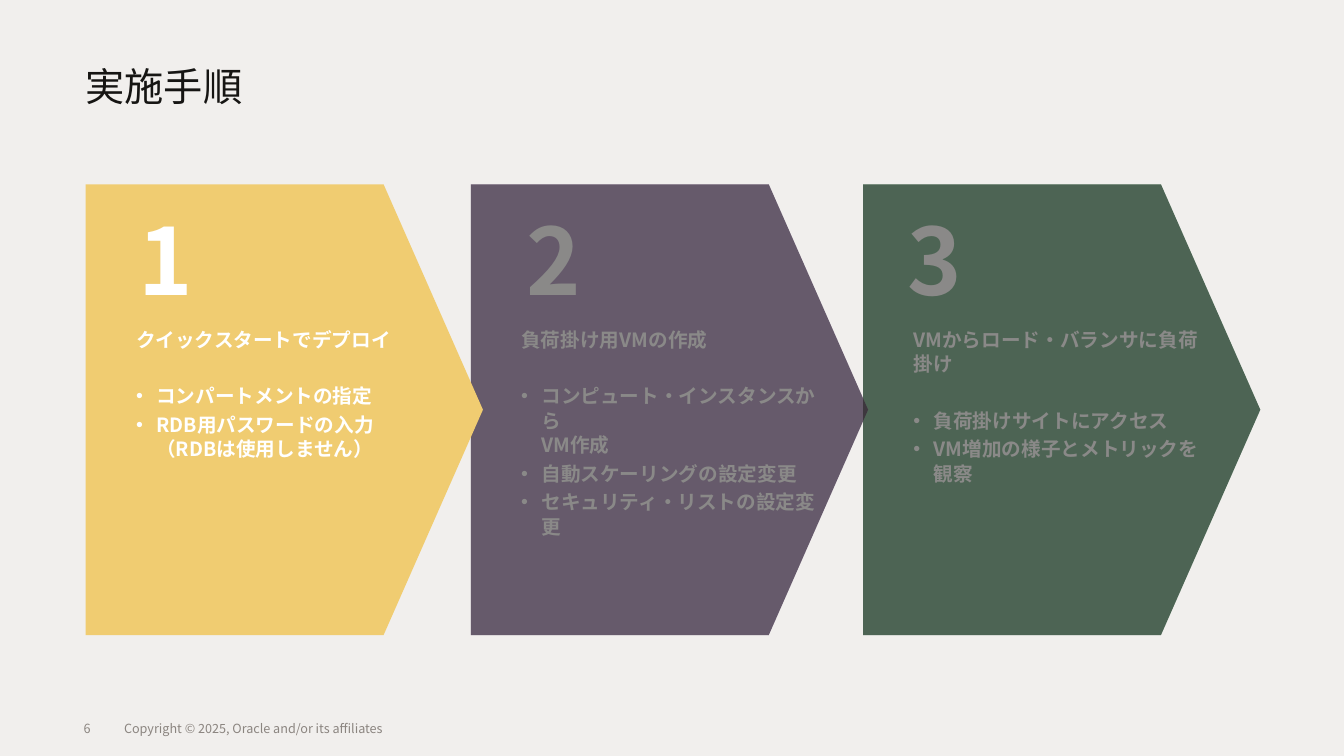
from lxml.etree import SubElement
from pptx import Presentation
from pptx.dml.color import RGBColor
from pptx.enum.shapes import MSO_SHAPE
from pptx.enum.text import MSO_ANCHOR
from pptx.oxml.ns import qn
from pptx.util import Inches, Pt

FONT = "Noto Sans CJK JP"
BACKGROUND = RGBColor(0xF1, 0xEF, 0xED)
INK = RGBColor(0x16, 0x15, 0x13)
GRAY = RGBColor(0x8B, 0x85, 0x80)
WHITE = RGBColor(0xFF, 0xFF, 0xFF)
YELLOW = RGBColor(0xF0, 0xCC, 0x71)
PURPLE = RGBColor(0xB7, 0xA1, 0xC4)
GREEN = RGBColor(0x86, 0xB5, 0x96)

ARROW_TOP, ARROW_WIDTH, ARROW_HEIGHT = 1.83, 3.94, 4.47
LINE_HEIGHT, LINE_GAP = Pt(17.5), Pt(2.8)
HEADING_GAP = LINE_HEIGHT + 2 * LINE_GAP

STEPS = [
    (0.85, 0.43, YELLOW, "1", "クイックスタートでデプロイ",
     ["コンパートメントの指定", "RDB用パスワードの入力\v（RDBは使用しません）"]),
    (4.67, 0.45, PURPLE, "2", "負荷掛け用VMの作成",
     ["コンピュート・インスタンスから\vVM作成", "自動スケーリングの設定変更",
      "セキュリティ・リストの設定変更"]),
    (8.56, 0.34, GREEN, "3", "VMからロード・バランサに負荷掛け",
     ["負荷掛けサイトにアクセス", "VM増加の様子とメトリックを観察"]),
]


def style_runs(paragraph, size, color, bold=False):
    """Apply the slide font to every run of a paragraph."""
    for run in paragraph.runs:
        run.font.size = Pt(size)
        run.font.bold = bold
        run.font.color.rgb = color
        run.font.name = FONT
        SubElement(run.font._element, qn("a:ea"), typeface=FONT)


def add_text(slide, box, text, size, color, bold=False,
             anchor=MSO_ANCHOR.MIDDLE, insets=(0, 0)):
    """Add a wrapped text box with one paragraph and return its frame."""
    frame = slide.shapes.add_textbox(*map(Inches, box)).text_frame
    frame.word_wrap = True
    frame.vertical_anchor = anchor
    frame.margin_left = frame.margin_right = Inches(insets[0])
    frame.margin_top = frame.margin_bottom = Inches(insets[1])
    frame.text = text
    style_runs(frame.paragraphs[0], size, color, bold)
    return frame


def add_arrow(slide, left, color, alpha=None):
    """Add one pentagon arrow, optionally translucent."""
    arrow = slide.shapes.add_shape(
        MSO_SHAPE.PENTAGON, Inches(left), Inches(ARROW_TOP),
        Inches(ARROW_WIDTH), Inches(ARROW_HEIGHT))
    arrow.adjustments[0] = 0.25
    arrow.shadow.inherit = False
    arrow.line.fill.background()
    arrow.fill.solid()
    arrow.fill.fore_color.rgb = color
    if alpha is not None:
        tint = arrow.element.spPr.find(qn("a:solidFill")).find(qn("a:srgbClr"))
        SubElement(tint, qn("a:alpha"), val=str(alpha * 1000))


def add_step(slide, left, number_offset, color, number, heading, actions):
    """Add a step arrow with its number, heading and bulleted actions."""
    add_arrow(slide, left, color)
    add_text(slide, (left + number_offset, ARROW_TOP + 0.13, 1.54, 1.21),
             number, 66, WHITE, True, insets=(0.1, 0.05))
    body = add_text(slide, (left + 0.45, ARROW_TOP + 1.38, 3.04, 1.7),
                    heading, 14, WHITE, True, MSO_ANCHOR.TOP, (0.05, 0.03))
    body.paragraphs[0].line_spacing = LINE_HEIGHT
    for index, action in enumerate(actions):
        item = body.add_paragraph()
        item.text = action
        properties = item._p.get_or_add_pPr()
        properties.set("marL", str(Inches(0.2)))
        properties.set("indent", str(-Inches(0.2)))
        SubElement(properties, qn("a:buFont"), typeface="Arial")
        SubElement(properties, qn("a:buChar"), char="•")
        item.line_spacing = LINE_HEIGHT
        item.space_before = LINE_GAP if index else HEADING_GAP
        style_runs(item, 14, WHITE, True)


def add_footer(slide, left, top):
    """Add the page number and the copyright line."""
    add_text(slide, (left, top, 0.4, 0.4), "6", 9, GRAY)
    add_text(slide, (left + 0.4, top, 6.28, 0.4),
             "Copyright © 2025, Oracle and/or its affiliates", 9, GRAY)


def main():
    """Build the procedure slide with its first step highlighted."""
    deck = Presentation()
    deck.slide_width, deck.slide_height = Inches(13.33), Inches(7.5)
    slide = deck.slides.add_slide(deck.slide_layouts[6])
    slide.background.fill.solid()
    slide.background.fill.fore_color.rgb = BACKGROUND
    title = add_text(slide, (0.85, 0.2, 11.67, 0.9), "実施手順", 28, INK,
                     anchor=MSO_ANCHOR.BOTTOM)
    title.paragraphs[0].line_spacing = 0.95
    add_footer(slide, 0.83, 7.03)
    current, *upcoming = STEPS
    upcoming.reverse()
    for step in upcoming:
        add_step(slide, *step)
    for left, *_ in upcoming:
        add_arrow(slide, left, INK, alpha=50)
    add_step(slide, *current)
    deck.save("out.pptx")


if __name__ == "__main__":
    main()
